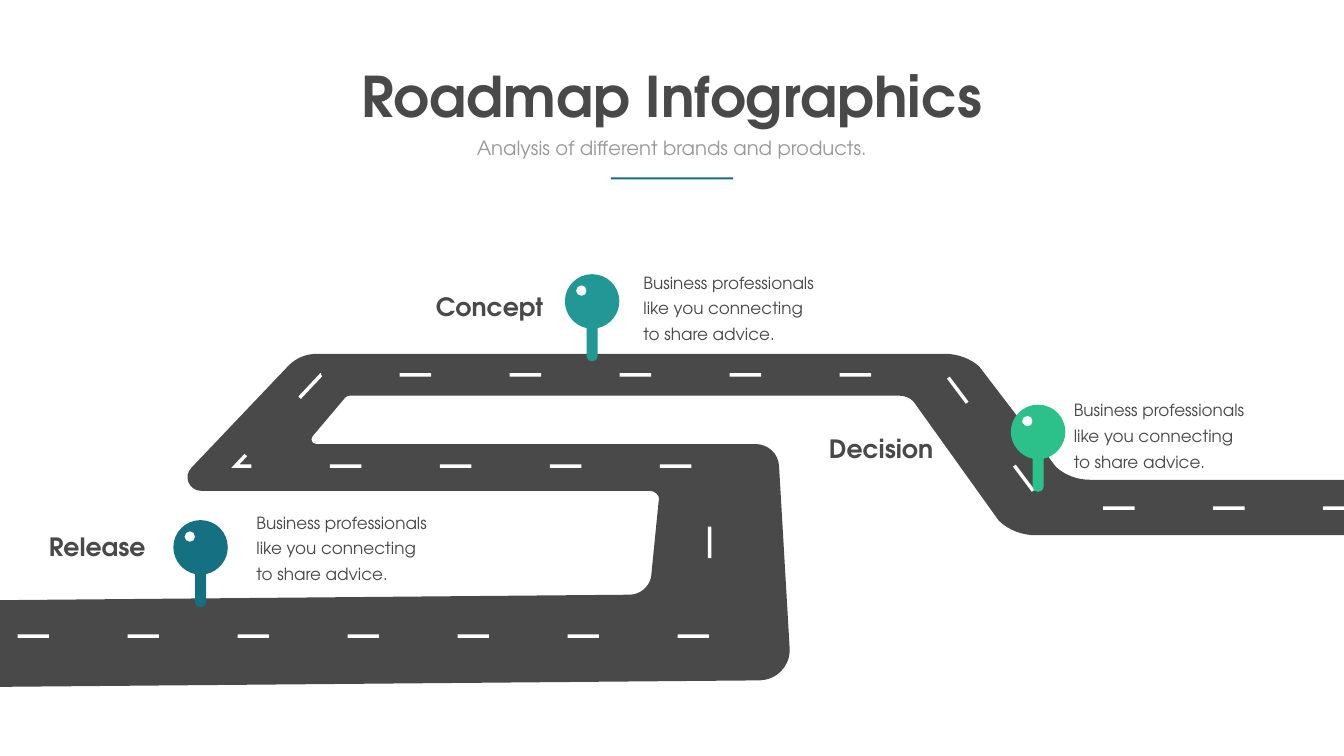
from lxml import etree
from pptx import Presentation
from pptx.dml.color import RGBColor
from pptx.enum.shapes import MSO_SHAPE
from pptx.enum.text import MSO_ANCHOR, MSO_AUTO_SIZE, PP_ALIGN
from pptx.oxml.ns import qn
from pptx.util import Inches, Pt

RECTANGLE = MSO_SHAPE.RECTANGLE
TOP = MSO_ANCHOR.TOP
FIT_SHAPE = MSO_AUTO_SIZE.SHAPE_TO_FIT_TEXT
LEFT, CENTER = PP_ALIGN.LEFT, PP_ALIGN.CENTER

FONT = "TeX Gyre Adventor"
ASPHALT = RGBColor(0x49, 0x49, 0x49)
GRAY = RGBColor(0x99, 0x99, 0x99)
WHITE = RGBColor(0xFF, 0xFF, 0xFF)
BLUE = RGBColor(0x15, 0x70, 0x81)
TEAL = RGBColor(0x21, 0x98, 0x96)
GREEN = RGBColor(0x2C, 0xC1, 0x8B)

prs = Presentation()
prs.slide_width, prs.slide_height = Inches(26.67), Inches(15)
slide = prs.slides.add_slide(prs.slide_layouts[5])


def write(box, text, size, color, bold=False, align=LEFT, wrap=True, spacing=None):
    frame = box.text_frame
    frame.text = text
    frame.word_wrap = wrap
    frame.auto_size = FIT_SHAPE
    frame.vertical_anchor = TOP
    paragraph = frame.paragraphs[0]
    paragraph.alignment = align
    paragraph.line_spacing = spacing
    font_format = {"name": FONT, "size": Pt(size), "bold": bold}
    for attribute, value in font_format.items():
        setattr(paragraph.font, attribute, value)
    paragraph.font.color.rgb = color


def draw(contours, fill=None, closed=True, origin=(0, 0)):
    builder = None
    for contour in contours:
        points = [(Inches(origin[0] + step[i]), Inches(origin[1] + step[i + 1]))
                  for step in contour for i in range(0, len(step), 2)]
        if builder is None:
            builder = slide.shapes.build_freeform(*points[0])
        else:
            builder.move_to(*points[0])
        builder.add_line_segments(points[1:], close=closed)
    outline = builder.convert_to_shape()
    segments = iter(list(outline.element.iter(qn("a:lnTo"))))
    for contour in contours:
        for step in contour[1:]:
            segment = next(segments)
            if len(step) == 6:
                segment_parent = segment.getparent()
                curve = etree.Element(qn("a:cubicBezTo"))
                segment_parent.replace(segment, curve)
                curve.append(segment[0])
                for control in (next(segments), next(segments)):
                    curve.append(control[0])
                    segment_parent.remove(control)
    outline.shadow.inherit = False
    outline.line.fill.background()
    if fill is None:
        outline.fill.background()
    else:
        outline.fill.solid()
        outline.fill.fore_color.rgb = fill
    return outline


title = slide.shapes.title
title.left, title.top, title.width, title.height = map(Inches, (7, 1.17, 12.66, 1.45))
write(title, "Roadmap Infographics", 80, ASPHALT, bold=True, align=CENTER, wrap=False)

subtitle = slide.shapes.add_textbox(*map(Inches, (8.55, 2.65, 9.56, 0.57)))
write(subtitle, "Analysis of different brands and products.", 28, GRAY, align=CENTER)

underline = slide.shapes.add_shape(RECTANGLE, *map(Inches, (12.12, 3.52, 2.43, 0.04)))
underline.shadow.inherit = False
underline.fill.solid()
underline.fill.fore_color.rgb = BLUE
underline.line.fill.background()

road_edge = [
    (26.88, 9.52), (21.64, 9.52), (21.39, 9.52, 21.15, 9.44, 20.96, 9.27),
    (19.43, 7.27), (19.25, 7.11, 19, 7.02, 18.75, 7.02),
    (6.29, 7.02), (6.08, 7.02, 5.88, 7.1, 5.73, 7.25),
    (3.8, 9.28), (3.63, 9.45, 3.75, 9.74, 4, 9.74),
    (12.9, 9.74), (13, 9.74, 13.08, 9.82, 13.08, 9.91),
    (13.08, 9.93, 13.07, 9.94, 13.07, 9.95),
    (12.92, 11.46), (12.87, 11.66, 12.69, 11.8, 12.49, 11.8),
    (-0.22, 11.91), (-0.22, 13.63), (15.07, 13.5),
    (15.41, 13.49, 15.67, 13.23, 15.67, 12.9),
    (15.67, 12.89, 15.67, 12.87, 15.67, 12.86),
    (15.46, 9.25), (15.45, 9, 15.24, 8.81, 14.99, 8.81),
    (6.27, 8.81), (6.22, 8.81, 6.18, 8.77, 6.18, 8.72),
    (6.18, 8.7, 6.19, 8.68, 6.2, 8.66),
    (6.85, 7.89), (6.87, 7.86, 6.91, 7.85, 6.94, 7.85),
    (17.84, 7.85), (17.95, 7.85, 18.06, 7.89, 18.13, 7.97),
    (19.82, 10.33), (20.02, 10.52, 20.28, 10.62, 20.56, 10.62),
    (26.88, 10.62),
]
draw([road_edge], ASPHALT)

lane_points = [(26.88, 10.08), (20.76, 10.08), (18.78, 7.44), (6.37, 7.44),
               (4.67, 9.25), (14.08, 9.25), (14.08, 12.62), (-0.22, 12.62)]
lane = draw([lane_points], closed=False)
lane.line.color.rgb = WHITE
lane.line.width = Pt(5)
lane_line = lane.element.spPr.find(qn("a:ln"))
dashes = etree.SubElement(lane_line, qn("a:custDash"))
etree.SubElement(dashes, qn("a:ds"), d="900000", sp="2250000")
etree.SubElement(lane_line, qn("a:miter"), lim="800000")

pin_body = [
    (0.54, 0), (0.54, -0.3, 0.3, -0.54, 0, -0.54), (-0.3, -0.54, -0.54, -0.3, -0.54, 0),
    (-0.54, 0.26, -0.35, 0.48, -0.11, 0.53),
    (-0.11, 1.09), (-0.11, 1.15, -0.06, 1.19, 0, 1.19), (0.06, 1.19, 0.11, 1.15, 0.11, 1.09),
    (0.11, 0.53), (0.35, 0.48, 0.54, 0.26, 0.54, 0),
]
pin_glint = [
    (-0.21, -0.11), (-0.27, -0.11, -0.32, -0.15, -0.32, -0.21),
    (-0.32, -0.27, -0.27, -0.32, -0.21, -0.32),
    (-0.15, -0.32, -0.11, -0.27, -0.11, -0.21),
    (-0.11, -0.15, -0.15, -0.11, -0.21, -0.11),
]

milestones = [
    ("Release", BLUE, (3.98, 10.86), (0.87, 10.49), (4.99, 10.01)),
    ("Concept", TEAL, (11.75, 5.98), (8.55, 5.73), (12.67, 5.25)),
    ("Decision", GREEN, (20.6, 8.57), (16.35, 8.55), (21.21, 7.78)),
]
for name, color, pin_center, name_at, advice_at in milestones:
    draw([pin_body, pin_glint], color, origin=pin_center)
    advice = slide.shapes.add_textbox(*map(Inches, (*advice_at, 3.71, 1.6)))
    write(advice, "Business professionals like you connecting to share advice.",
          24, ASPHALT, spacing=Pt(36.6))
    heading = slide.shapes.add_textbox(*map(Inches, (*name_at, 2.86, 0.71)))
    write(heading, name, 36, ASPHALT, bold=True)

prs.save("out.pptx")
